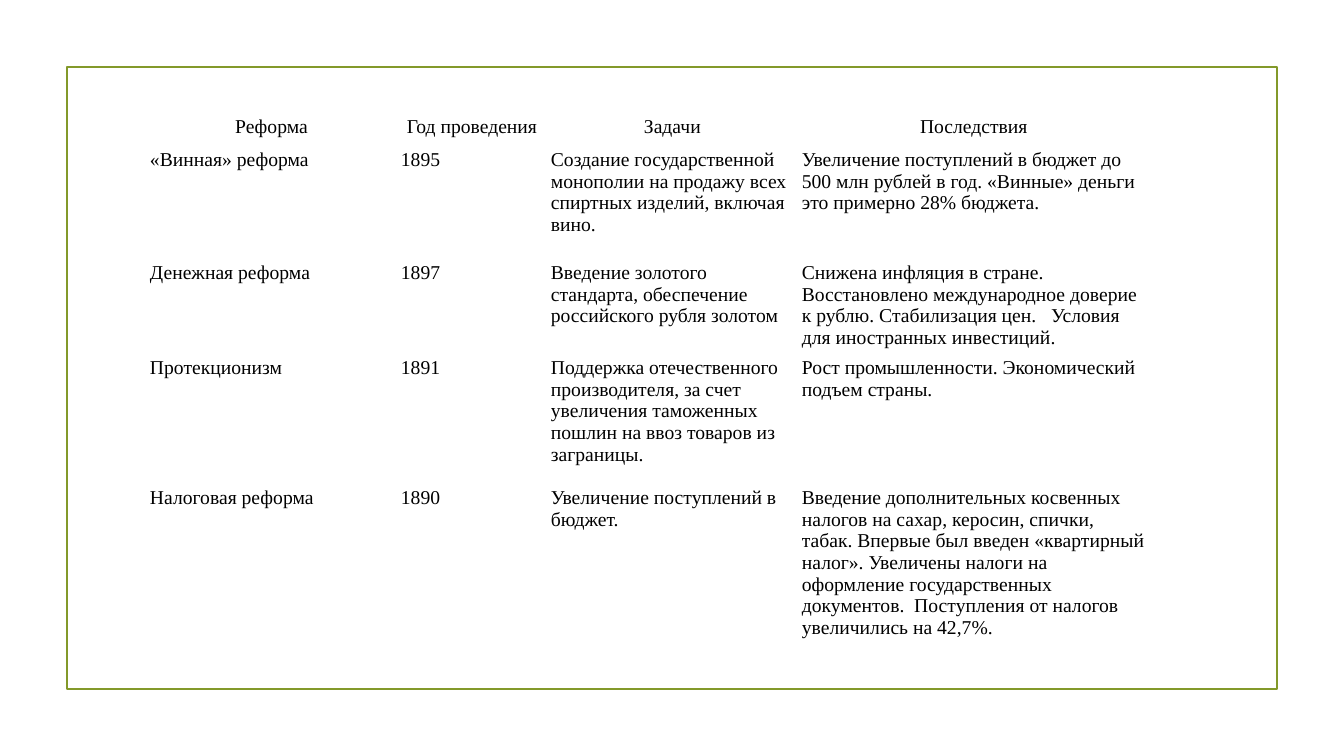
from pptx import Presentation
from pptx import util as u
from pptx.dml.color import RGBColor
from pptx.enum import shapes, text

BLACK = RGBColor(0x00, 0x00, 0x00)
OLIVE = RGBColor(0x83, 0x99, 0x2A)
FONT = "Times New Roman"

HEAD = ("Реформа", "Год проведения", "Задачи", "Последствия")
REFORMS = [
    ("«Винная» реформа", "1895",
     "Создание государственной монополии на продажу всех спиртных изделий, "
     "включая вино.",
     "Увеличение поступлений в бюджет до 500 млн рублей в год. "
     "«Винные» деньги это примерно 28% бюджета."),
    ("Денежная реформа", "1897",
     "Введение золотого стандарта, обеспечение российского рубля золотом",
     "Снижена инфляция в стране. Восстановлено международное доверие к рублю. "
     "Стабилизация цен.   Условия для иностранных инвестиций."),
    ("Протекционизм", "1891",
     "Поддержка отечественного производителя, за счет увеличения таможенных "
     "пошлин на ввоз товаров из заграницы.",
     "Рост промышленности. Экономический подъем страны."),
    ("Налоговая реформа", "1890",
     "Увеличение поступлений в бюджет.",
     "Введение дополнительных косвенных налогов на сахар, керосин, спички, "
     "табак. Впервые был введен «квартирный налог». Увеличены налоги на "
     "оформление государственных документов.  Поступления от налогов "
     "увеличились на 42,7%."),
]

SLIDE = (1344, 756)
FRAME = (67, 67, 1210, 622)
TABLE = (146, 106, 1004, 551)
COLS = (251, 150, 251, 352)
ROWS = (41, 113, 95, 130, 148)
PAD_X, PAD_Y = 4, 2


def px(n):
    return round(n * u.Inches(1) / 100.8)


def write(cell, words, size=14, color=BLACK, align=text.PP_ALIGN.LEFT,
          anchor=text.MSO_ANCHOR.TOP):
    cell.fill.background()
    cell.margin_left = cell.margin_right = px(PAD_X)
    cell.margin_top = cell.margin_bottom = px(PAD_Y)
    cell.vertical_anchor = anchor
    para = cell.text_frame.paragraphs[0]
    para.alignment = align
    run = para.add_run()
    run.text = words
    run.font.name = FONT
    run.font.size = u.Pt(size)
    run.font.color.rgb = color


def add_frame(slide):
    box = slide.shapes.add_shape(shapes.MSO_SHAPE.RECTANGLE, *map(px, FRAME))
    box.shadow.inherit = False
    box.fill.background()
    box.line.color.rgb = OLIVE
    box.line.width = u.Pt(1.25)


def add_reforms(slide):
    holder = slide.shapes.add_table(len(ROWS), len(COLS), *map(px, TABLE))
    table = holder.table
    table.first_row = table.horz_banding = False
    for col, wide in zip(table.columns, COLS):
        col.width = px(wide)
    for row, high in zip(table.rows, ROWS):
        row.height = px(high)
    holder.height = px(TABLE[3])
    for c, words in enumerate(HEAD):
        write(table.cell(0, c), words, align=text.PP_ALIGN.CENTER,
              anchor=text.MSO_ANCHOR.MIDDLE)
    for r, reform in enumerate(REFORMS, 1):
        for c, words in enumerate(reform):
            write(table.cell(r, c), words)


def main():
    deck = Presentation()
    deck.slide_width, deck.slide_height = map(px, SLIDE)
    slide = deck.slides.add_slide(deck.slide_layouts[6])
    add_frame(slide)
    add_reforms(slide)
    deck.save("out.pptx")


if __name__ == "__main__":
    main()
